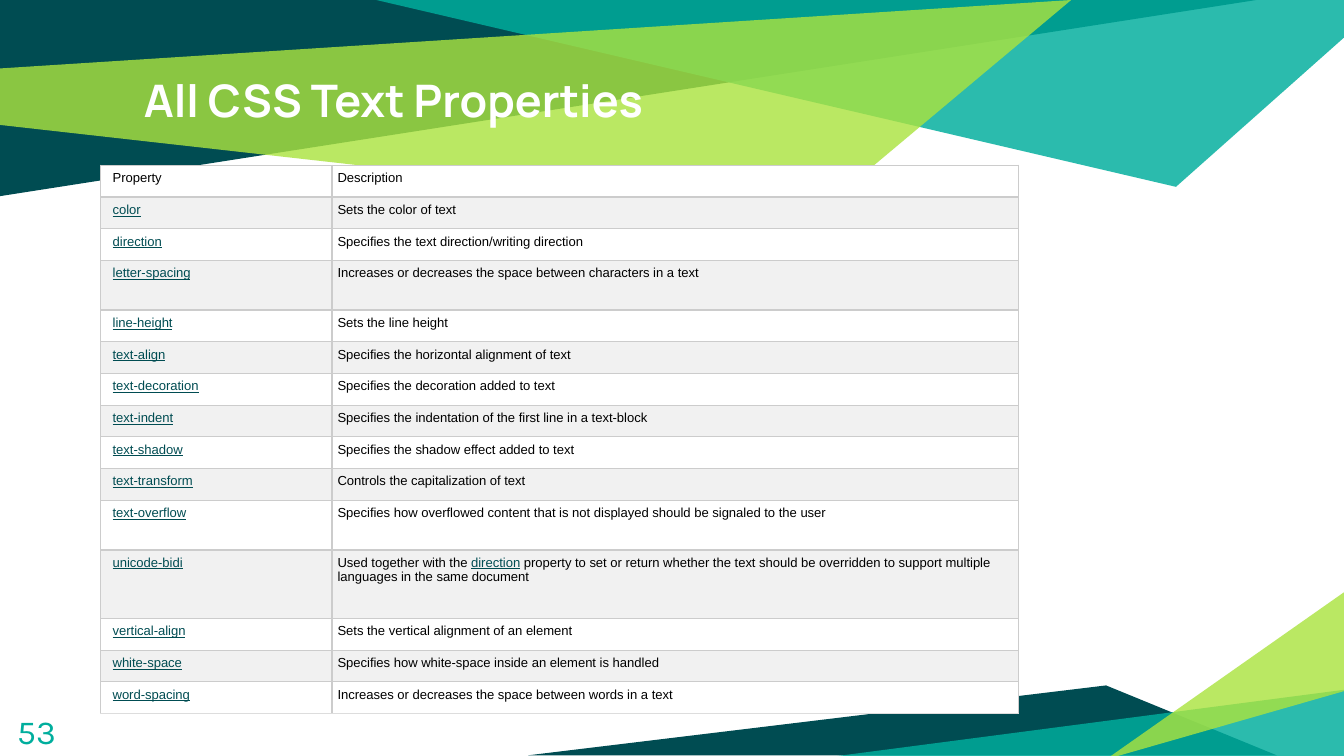
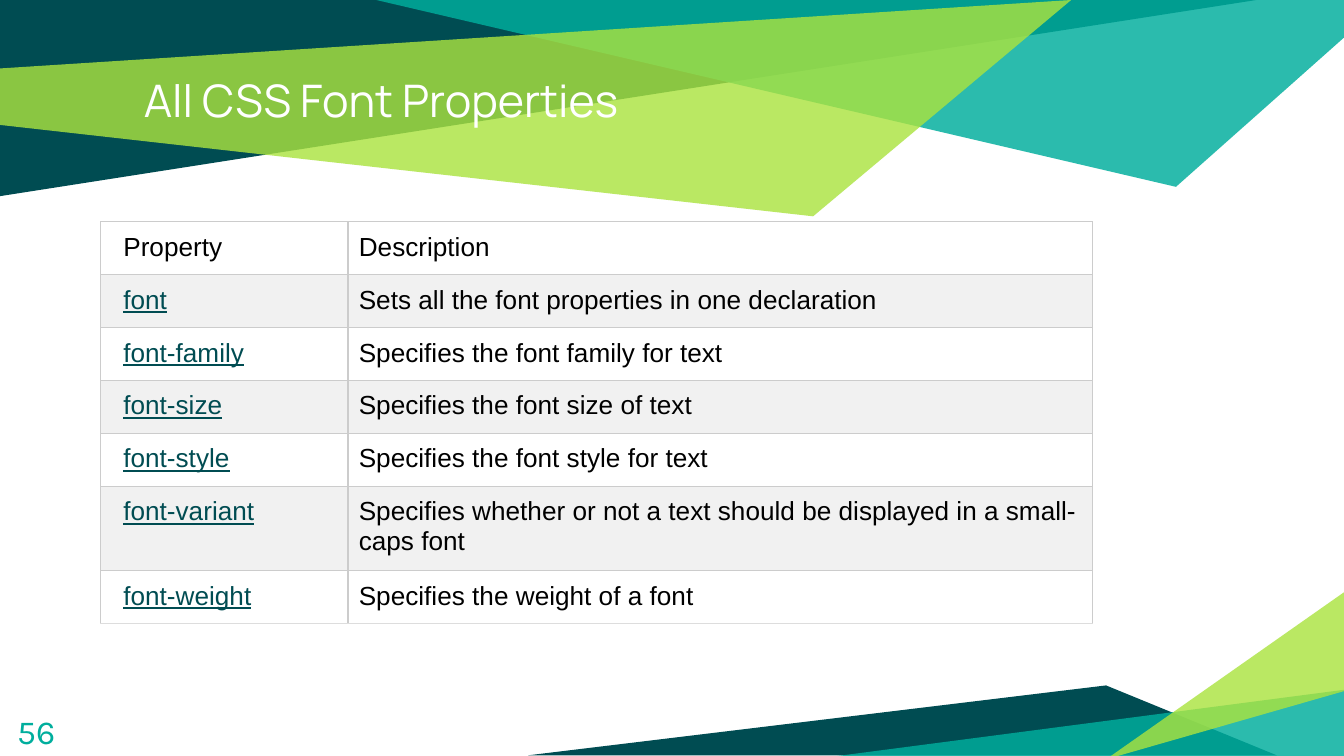
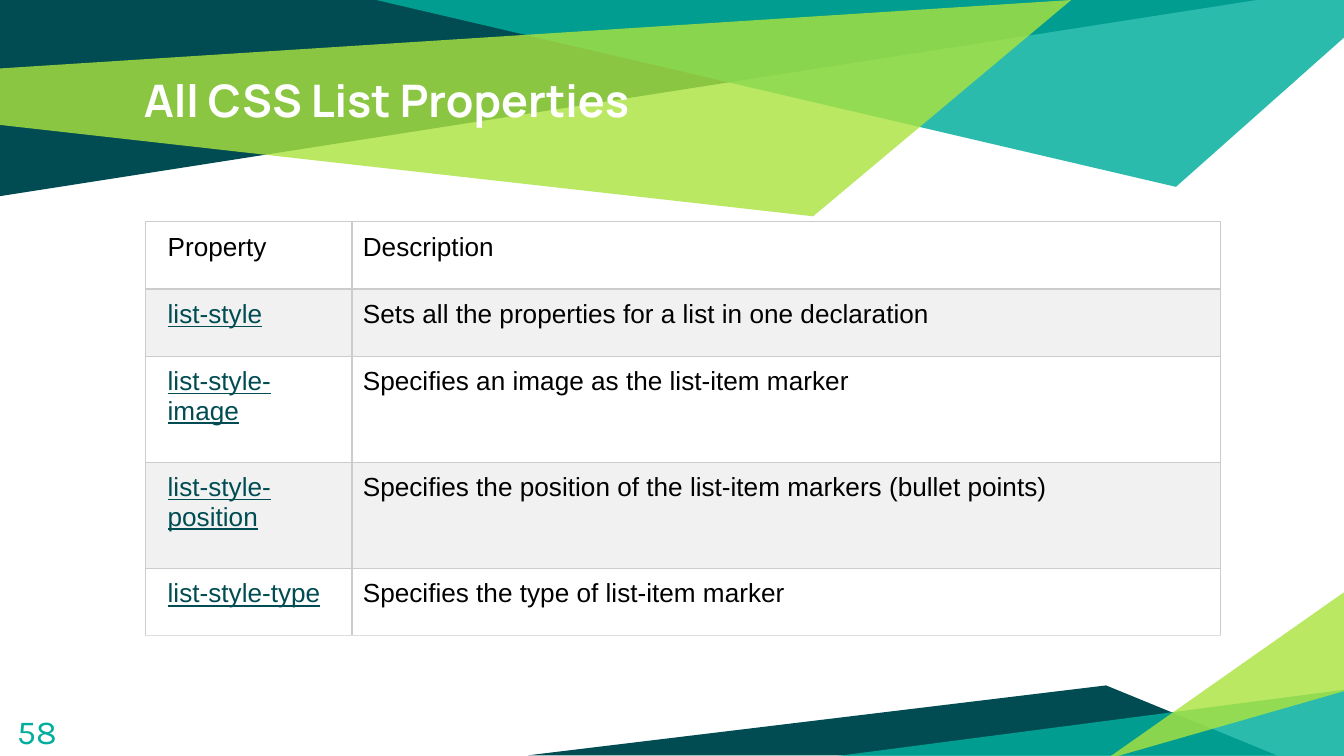
import dataclasses

import lxml.etree
import pptx
import pptx.dml.color
import pptx.enum.text
import pptx.oxml.ns
import pptx.util

qn = pptx.oxml.ns.qn


# Look shared by all slides
@dataclasses.dataclass(frozen=True)
class Theme:
    dark: str = "004C52"
    teal: str = "00AE9D"
    lime: str = "ABE33F"
    white: str = "FFFFFF"
    black: str = "000000"
    stripe: str = "F1F1F1"
    rule: str = "CCCCCC"
    base: str = "DDDDDD"
    head: str = "Manrope"
    body: str = "Arial"
    digit: str = "Karla"
    title: int = 24
    page: int = 18
    large: int = 14
    small: int = 7
    line: float = 0.75


T = Theme()
WIDTH = pptx.util.Inches(10)
HEIGHT = pptx.util.Inches(5.625)

# Bands: colour, opacity in percent, corners in grid units
BANDS = [
    (T.dark, 100, [(0, 0), (0, 14.6), (93.5, 0)]),
    (T.teal, 83, [(28, 0), (87.5, 13.9), (100, 2.8), (100, 0)]),
    (T.lime, 81, [(-0.1, 5.1), (0, 9.3), (60.5, 16.1), (79.7, 0)]),
    (T.dark, 100, [(39.3, 56.2), (95, 56.2), (82.3, 51)]),
    (T.teal, 83, [(100.2, 51.3), (100.2, 56.5), (60.4, 56.5)]),
    (T.lime, 81, [(100.1, 51.4), (100.1, 44), (82.3, 56.5)]),
]

# Rows: property, description (backticks mark a linked word)
TEXT_ROWS = [
    ("color", "Sets the color of text"),
    ("direction", "Specifies the text direction/writing direction"),
    ("letter-spacing", "Increases or decreases the space between characters in a text"),
    ("line-height", "Sets the line height"),
    ("text-align", "Specifies the horizontal alignment of text"),
    ("text-decoration", "Specifies the decoration added to text"),
    ("text-indent", "Specifies the indentation of the first line in a text-block"),
    ("text-shadow", "Specifies the shadow effect added to text"),
    ("text-transform", "Controls the capitalization of text"),
    ("text-overflow", "Specifies how overflowed content that is not displayed "
                      "should be signaled to the user"),
    ("unicode-bidi", "Used together with the `direction` property to set or return "
                     "whether the text should be overridden to support multiple "
                     "languages in the same document"),
    ("vertical-align", "Sets the vertical alignment of an element"),
    ("white-space", "Specifies how white-space inside an element is handled"),
    ("word-spacing", "Increases or decreases the space between words in a text"),
]
FONT_ROWS = [
    ("font", "Sets all the font properties in one declaration"),
    ("font-family", "Specifies the font family for text"),
    ("font-size", "Specifies the font size of text"),
    ("font-style", "Specifies the font style for text"),
    ("font-variant", "Specifies whether or not a text should be displayed "
                     "in a small-caps font"),
    ("font-weight", "Specifies the weight of a font"),
]
LIST_ROWS = [
    ("list-style", "Sets all the properties for a list in one declaration"),
    ("list-style-image", "Specifies an image as the list-item marker"),
    ("list-style-position", "Specifies the position of the list-item markers "
                            "(bullet points)"),
    ("list-style-type", "Specifies the type of list-item marker"),
]


def unit(count):
    """Length of a number of grid units; the slide is 100 units wide."""
    return round(WIDTH * count / 100)


def rgb(code):
    return pptx.dml.color.RGBColor.from_string(code)


def write(frame, text, size, font, color, bold=False, inset=(1, 1, 1, 1)):
    """Fill a text frame or cell; words in backticks look like links."""
    (frame.margin_left, frame.margin_top,
     frame.margin_right, frame.margin_bottom) = map(unit, inset)
    frame.vertical_anchor = pptx.enum.text.MSO_ANCHOR.TOP
    frame.word_wrap = True
    # A cell keeps its paragraphs in an inner text frame
    body = getattr(frame, "text_frame", frame)
    line = body.paragraphs[0]
    line.alignment = pptx.enum.text.PP_ALIGN.LEFT
    for index, part in enumerate(text.split("`")):
        if not part:
            continue
        linked = index % 2 == 1
        run = line.add_run()
        run.text = part
        run.font.size = pptx.util.Pt(size)
        run.font.name = font
        run.font.bold = bold
        run.font.underline = linked
        run.font.color.rgb = rgb(T.dark if linked else color)


def band(slide, color, alpha, spots):
    first, *rest = [(unit(x), unit(y)) for x, y in spots]
    pen = slide.shapes.build_freeform(*first)
    pen.add_line_segments(rest, close=True)
    shape = pen.convert_to_shape()
    shape.shadow.inherit = False
    shape.line.fill.background()
    shape.fill.solid()
    shape.fill.fore_color.rgb = rgb(color)
    if alpha < 100:
        tint = shape.element.find(".//" + qn("a:srgbClr"))
        lxml.etree.SubElement(tint, qn("a:alpha"), val=str(alpha * 1000))
    return shape


def dress(layout, slide):
    """Draw the bands and move them to the back of the layout."""
    for index, spec in enumerate(BANDS):
        layout.shapes.element.insert(2 + index, band(slide, *spec).element)


def title(slide, text, bold):
    box = slide.shapes.title
    box.left, box.top, box.width, box.height = map(unit, (9.7, 4.4, 80.6, 9.4))
    box.text_frame.auto_size = pptx.enum.text.MSO_AUTO_SIZE.NONE
    write(box.text_frame, text, T.title, T.head, T.white, bold=bold)


def page(slide, number):
    box = slide.shapes.add_textbox(*map(unit, (0.3, 51.9, 6, 4.3)))
    write(box.text_frame, str(number), T.page, T.digit, T.teal)


def edge(props, tags, color):
    """Put border lines ahead of the fill of a cell."""
    for index, tag in enumerate(tags):
        line = lxml.etree.Element(qn(tag), w=str(pptx.util.Pt(T.line)))
        fill = lxml.etree.SubElement(line, qn("a:solidFill"))
        lxml.etree.SubElement(fill, qn("a:srgbClr"), val=color)
        props.insert(index, line)


def grid(slide, rows, left, top, cols, height, tall, size, pad):
    """Draw a property table; rows not listed in tall share the rest."""
    lines = [("Property", "Description")]
    lines += [(f"`{name}`", note) for name, note in rows]
    frame = slide.shapes.add_table(
        len(lines), len(cols), *map(unit, (left, top, sum(cols), height)))
    table = frame.table
    table.first_row = table.horz_banding = False
    for column, width in zip(table.columns, cols):
        column.width = unit(width)
    share = (height - sum(tall.values())) / (len(lines) - len(tall))
    for r, texts in enumerate(lines):
        table.rows[r].height = unit(tall.get(r, share))
        for c, text in enumerate(texts):
            cell = table.cell(r, c)
            inset = (pad if c else pad * 2.1, pad, pad, pad)
            write(cell, text, size, T.body, T.black, inset=inset)
            cell.fill.solid()
            cell.fill.fore_color.rgb = rgb(T.stripe if r % 2 else T.white)
    # Borders: the last row closes with a lighter line
    props = list(frame.element.iter(qn("a:tcPr")))
    last = len(props) - len(cols)
    for index, prop in enumerate(props):
        edge(prop, ["a:lnB"], T.base if index >= last else T.rule)
        edge(prop, ["a:lnL", "a:lnR", "a:lnT"], T.rule)


def main():
    deck = pptx.Presentation()
    deck.slide_width, deck.slide_height = WIDTH, HEIGHT
    layout = deck.slide_layouts[5]
    pages = [
        ("All CSS Text Properties", True, 53, dict(
            rows=TEXT_ROWS, left=7.5, top=12.3, cols=(17.2, 51.1), height=40.8,
            tall={3: 3.7, 10: 3.7, 11: 5.1}, size=T.small, pad=0.42)),
        ("All CSS Font Properties", False, 56, dict(
            rows=FONT_ROWS, left=7.5, top=16.5, cols=(18.4, 55.4), height=29.1,
            tall={5: 6}, size=T.large, pad=0.8)),
        ("All CSS List Properties", True, 58, dict(
            rows=LIST_ROWS, left=10.8, top=16.5, cols=(15.4, 64.6), height=30.8,
            tall={2: 7.9, 3: 7.9}, size=T.large, pad=0.8)),
    ]
    for index, (head, bold, number, table) in enumerate(pages):
        slide = deck.slides.add_slide(layout)
        if index == 0:
            dress(layout, slide)
        title(slide, head, bold)
        page(slide, number)
        grid(slide, **table)
    deck.save("out.pptx")


if __name__ == "__main__":
    main()
